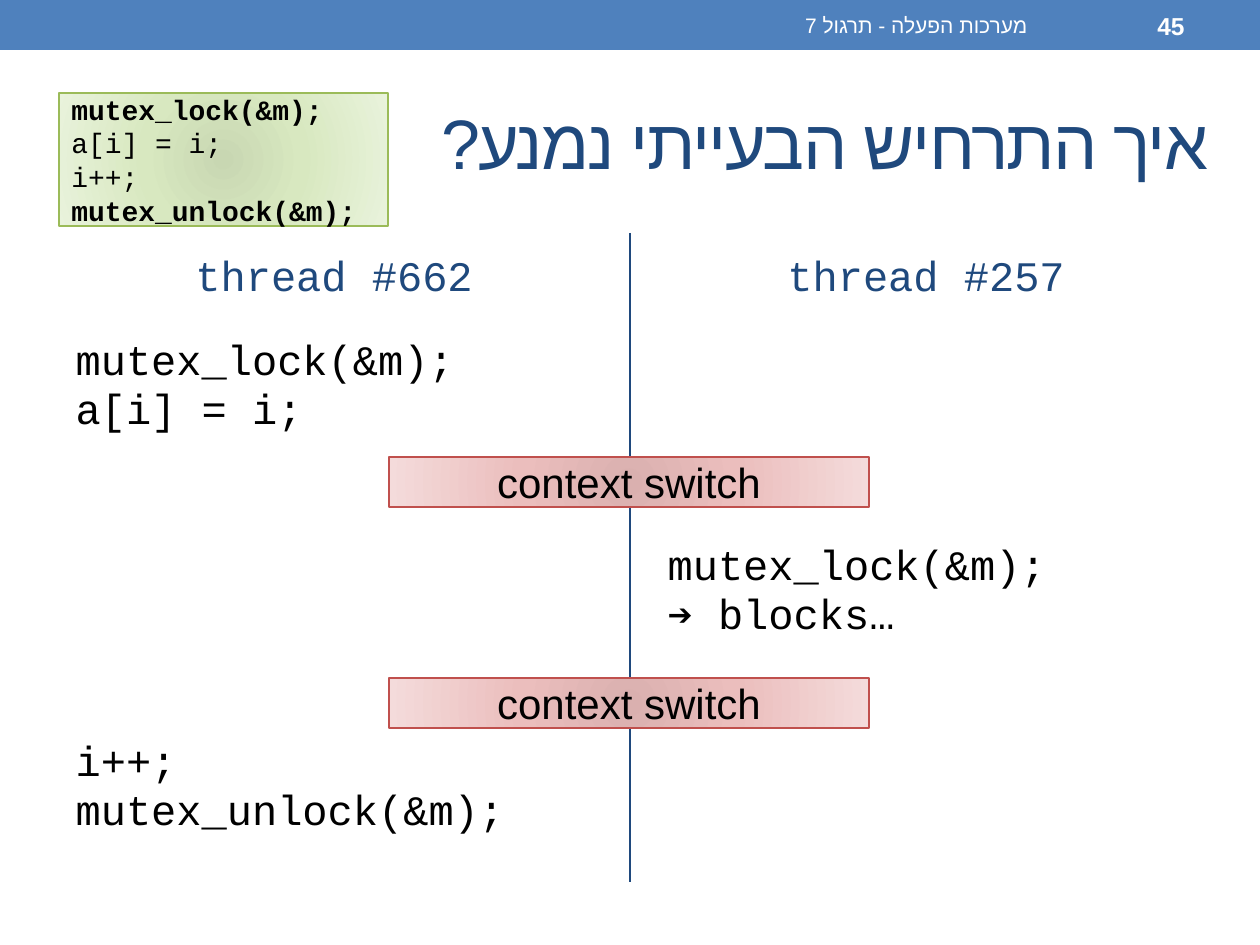
from dataclasses import dataclass

from lxml import etree
from pptx import Presentation
from pptx.dml.color import RGBColor
from pptx.enum.shapes import MSO_CONNECTOR, MSO_SHAPE
from pptx.enum.text import MSO_ANCHOR, MSO_AUTO_SIZE, PP_ALIGN
from pptx.oxml.ns import qn
from pptx.util import Pt

RECTANGLE, PROCESS = MSO_SHAPE.RECTANGLE, MSO_SHAPE.FLOWCHART_PROCESS
STRAIGHT = MSO_CONNECTOR.STRAIGHT
LEFT, CENTER, RIGHT = PP_ALIGN.LEFT, PP_ALIGN.CENTER, PP_ALIGN.RIGHT
TOP, MIDDLE = MSO_ANCHOR.TOP, MSO_ANCHOR.MIDDLE
NO_AUTOFIT = MSO_AUTO_SIZE.NONE
EMU_PER_PX = 914400 / 126


@dataclass(frozen=True)
class Theme:
    bar: str = "4F81BD"
    heading: str = "1F497D"
    ink: str = "000000"
    paper: str = "FFFFFF"
    switch_line: str = "C0504D"
    switch_glow: tuple = ("DAB0AF", "EBBEBD", "F4DBDB")
    snippet_line: str = "9BBB59"
    snippet_glow: tuple = ("C8D7B2", "D8E8C0", "E9F3DC")
    heading_font: str = "DejaVu Sans Mono"
    hebrew: str = "Arial"
    code: str = "Courier New"
    label: str = "Arial"
    title_size: int = 40
    body_size: int = 24
    snippet_size: int = 16
    number_size: int = 14
    footer_size: int = 12
    code_gap: int = 5


THEME = Theme()


def px(length):
    return round(length * EMU_PER_PX)


def place(part, box):
    part.left, part.top, part.width, part.height = map(px, box)


def prepare_frame(part, anchor):
    frame = part.text_frame
    frame.word_wrap = True
    frame.auto_size = NO_AUTOFIT
    frame.vertical_anchor = anchor
    return frame


def add_run(paragraph, text, font, size, color, bold=False, spacing=None):
    run = paragraph.add_run()
    run.text = text
    run.font.name = font
    run.font.size = Pt(size)
    run.font.bold = bold
    run.font.color.rgb = RGBColor.from_string(color)
    properties = run._r.get_or_add_rPr()
    etree.SubElement(properties, qn("a:cs"), typeface=THEME.hebrew)
    if spacing is not None:
        properties.set("spc", str(spacing))


def write_line(part, text, font, size, color, align, rtl=True, **style):
    paragraph = prepare_frame(part, MIDDLE).paragraphs[0]
    paragraph.alignment = align
    if rtl:
        paragraph._p.get_or_add_pPr().set("rtl", "1")
    add_run(paragraph, text, font, size, color, **style)


def add_glow_box(slide, box, glow, line):
    panel = slide.shapes.add_shape(PROCESS, *map(px, box))
    panel.shadow.inherit = False
    panel.line.color.rgb = RGBColor.from_string(line)
    panel.line.width = Pt(0.75)
    panel.fill.gradient()
    gradient = panel._element.spPr.find(qn("a:gradFill"))
    for child in list(gradient):
        gradient.remove(child)
    stops = etree.SubElement(gradient, qn("a:gsLst"))
    for position, color in zip((0, 45, 100), glow):
        stop = etree.SubElement(stops, qn("a:gs"), pos=str(position * 1000))
        etree.SubElement(stop, qn("a:srgbClr"), val=color)
    circle = etree.SubElement(gradient, qn("a:path"), path="circle")
    etree.SubElement(circle, qn("a:fillToRect"), {side: "100000" for side in "ltrb"})
    return panel


def header(slide, box):
    left, top, width, height = box
    bar = slide.shapes.add_shape(RECTANGLE, *map(px, box))
    bar.shadow.inherit = False
    bar.fill.solid()
    bar.fill.fore_color.rgb = RGBColor.from_string(THEME.bar)
    bar.line.fill.background()
    course = slide.shapes.add_textbox(*map(px, (left + 473, top + 3, 567, height - 5)))
    write_line(course, "מערכות הפעלה - תרגול 7", THEME.heading_font, THEME.footer_size,
               THEME.paper, RIGHT)
    number = slide.shapes.add_textbox(*map(px, (left + 1050, top + 3, 147, height - 5)))
    write_line(number, "45", THEME.heading_font, THEME.number_size, THEME.paper, RIGHT,
               bold=True)


def title(slide, box):
    heading = slide.shapes.title
    place(heading, box)
    write_line(heading, "איך התרחיש הבעייתי נמנע?", THEME.heading_font,
               THEME.title_size, THEME.heading, RIGHT, spacing=-100)


def divider(slide, box):
    left, top, width, height = box
    rule = slide.shapes.add_connector(
        STRAIGHT, *map(px, (left, top, left + width, top + height)))
    rule.line.color.rgb = RGBColor.from_string(THEME.heading)
    rule.line.width = Pt(1.5)
    etree.SubElement(rule._element.spPr, qn("a:effectLst"))


def thread_column(slide, box, name_idx, thread_name, inset, steps):
    left, top, width, height = box
    name = slide.placeholders[name_idx]
    place(name, (left, top, width, 88))
    write_line(name, thread_name, THEME.code, THEME.body_size, THEME.heading, CENTER)
    properties = name.text_frame.paragraphs[0]._p.get_or_add_pPr()
    etree.SubElement(properties, qn("a:buNone"))

    code = slide.placeholders[name_idx + 1]
    place(code, (left, top + 106, width, height - 106))
    frame = prepare_frame(code, TOP)
    frame.margin_top = px(inset)
    for index, (statement, gap) in enumerate(steps):
        paragraph = frame.add_paragraph() if index else frame.paragraphs[0]
        paragraph.alignment = LEFT
        paragraph.line_spacing = 0.8
        paragraph.space_before = Pt(gap)
        properties = paragraph._p.get_or_add_pPr()
        properties.set("marL", str(px(25)))
        properties.set("indent", str(px(-25)))
        etree.SubElement(properties, qn("a:buNone"))
        add_run(paragraph, statement, THEME.code, THEME.body_size, THEME.ink)


def context_switch(slide, box):
    switch = add_glow_box(slide, box, THEME.switch_glow, THEME.switch_line)
    write_line(switch, "context switch", THEME.label, THEME.body_size, THEME.ink,
               CENTER, rtl=False)


def snippet(slide, box):
    panel = add_glow_box(slide, box, THEME.snippet_glow, THEME.snippet_line)
    frame = prepare_frame(panel, MIDDLE)
    statements = (
        (("mutex_lock(&m);", True),),
        (("a[i] = i;", False),),
        (("i++; ", False), ("mutex_unlock(&m);", True)),
    )
    for index, runs in enumerate(statements):
        paragraph = frame.add_paragraph() if index else frame.paragraphs[0]
        paragraph.alignment = LEFT
        for text, bold in runs:
            add_run(paragraph, text, THEME.code, THEME.snippet_size, THEME.ink, bold)


def main():
    deck = Presentation()
    deck.slide_width, deck.slide_height = px(1260), px(945)
    slide = deck.slides.add_slide(deck.slide_layouts[4])
    gap = THEME.code_gap
    header(slide, (0, 0, 1260, 50))
    title(slide, (87, 73, 1134, 136))
    divider(slide, (630, 233, 0, 649))
    thread_column(slide, (63, 231, 542, 650), 1, "thread #662", 6, (
        ("mutex_lock(&m);", gap), ("a[i] = i;", gap),
        ("i++;", 178), ("mutex_unlock(&m);", gap)))
    thread_column(slide, (655, 231, 542, 650), 3, "thread #257", 211, (
        ("mutex_lock(&m);", gap), ("➔ blocks…", gap)))
    for top in (457, 678):
        context_switch(slide, (389, top, 480, 50))
    snippet(slide, (59, 93, 329, 133))
    deck.save("out.pptx")


if __name__ == "__main__":
    main()
